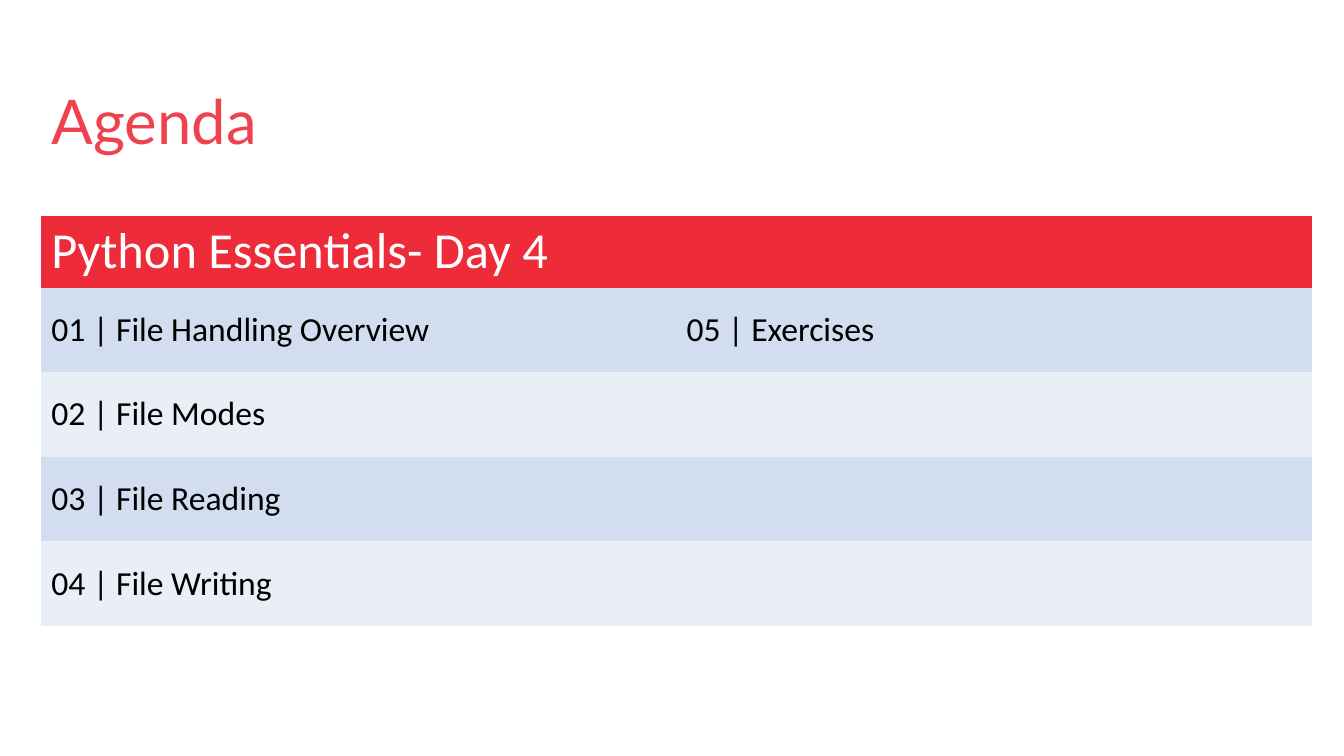
from pptx import Presentation
from pptx import util as u
from pptx.dml.color import RGBColor
from pptx.enum import text

WHITE = RGBColor(0xFF, 0xFF, 0xFF)
BLACK = RGBColor(0x00, 0x00, 0x00)
RED = RGBColor(0xEE, 0x2B, 0x39)
CORAL = RGBColor(0xEF, 0x42, 0x4F)
BANDS = [RGBColor(0xD2, 0xDE, 0xEF), RGBColor(0xEA, 0xEF, 0xF7)]

NO_STYLE = "{2D5ABB26-0587-4C30-8999-92F81FD0307C}"
TITLE_FONT = {"name": "Lato", "size": u.Pt(44), "bold": False}
HEADER_FONT = {"name": "Calibri", "size": u.Pt(36), "bold": False}
TOPIC_FONT = {"name": "Calibri", "size": u.Pt(24), "bold": False}

TOPICS = [
    ("01 | File Handling Overview", "05 | Exercises"),
    ("02 | File Modes", ""),
    ("03 | File Reading", ""),
    ("04 | File Writing", ""),
]


def write(para, words, font, color):
    """Add one formatted span to a paragraph."""
    span = para.add_run()
    span.text = words
    for key, value in font.items():
        setattr(span.font, key, value)
    span.font.color.rgb = color


def fill_cell(cell, words, font, color, fill):
    """Colour a cell and write its words, if any."""
    cell.fill.solid()
    cell.fill.fore_color.rgb = fill
    cell.vertical_anchor = text.MSO_ANCHOR.MIDDLE
    if words:
        write(cell.text_frame.paragraphs[0], words, font, color)


def add_title(page, words, left, top, width, height):
    """Place the title placeholder, with its text at the bottom left."""
    title = page.shapes.title
    title.left, title.top, title.width, title.height = left, top, width, height
    frame = title.text_frame
    frame.auto_size = text.MSO_AUTO_SIZE.NONE
    frame.vertical_anchor = text.MSO_ANCHOR.BOTTOM
    para = frame.paragraphs[0]
    para.alignment = text.PP_ALIGN.LEFT
    para.line_spacing = 0.7
    write(para, words, TITLE_FONT, CORAL)


def add_agenda(page, heading, topics, left, top, width, height):
    """Place the agenda table: a merged heading above banded topic rows."""
    columns = len(topics[0])
    frame = page.shapes.add_table(len(topics) + 1, columns, left, top, width, height)
    table = frame.table
    frame._element.graphic.graphicData.tbl.tblPr.find(
        "{http://schemas.openxmlformats.org/drawingml/2006/main}tableStyleId"
    ).text = NO_STYLE

    header_height = u.Inches(0.65)
    table.rows[0].height = header_height
    table.cell(0, 0).merge(table.cell(0, columns - 1))
    fill_cell(table.cell(0, 0), heading, HEADER_FONT, WHITE, RED)

    for row, entries in enumerate(topics, start=1):
        table.rows[row].height = (height - header_height) // len(topics)
        band = BANDS[(row - 1) % len(BANDS)]
        for column, words in enumerate(entries):
            fill_cell(table.cell(row, column), words, TOPIC_FONT, BLACK, band)


deck = Presentation()
deck.slide_width, deck.slide_height = u.Inches(13.33), u.Inches(7.5)
page = deck.slides.add_slide(deck.slide_layouts[5])
margin, content_width = u.Inches(0.41), u.Inches(12.6)
add_title(page, "Agenda", margin, u.Inches(0.43), content_width, u.Inches(1.16))
add_agenda(page, "Python Essentials- Day 4", TOPICS,
           margin, u.Inches(2.14), content_width, u.Inches(4.01))
deck.save("out.pptx")
